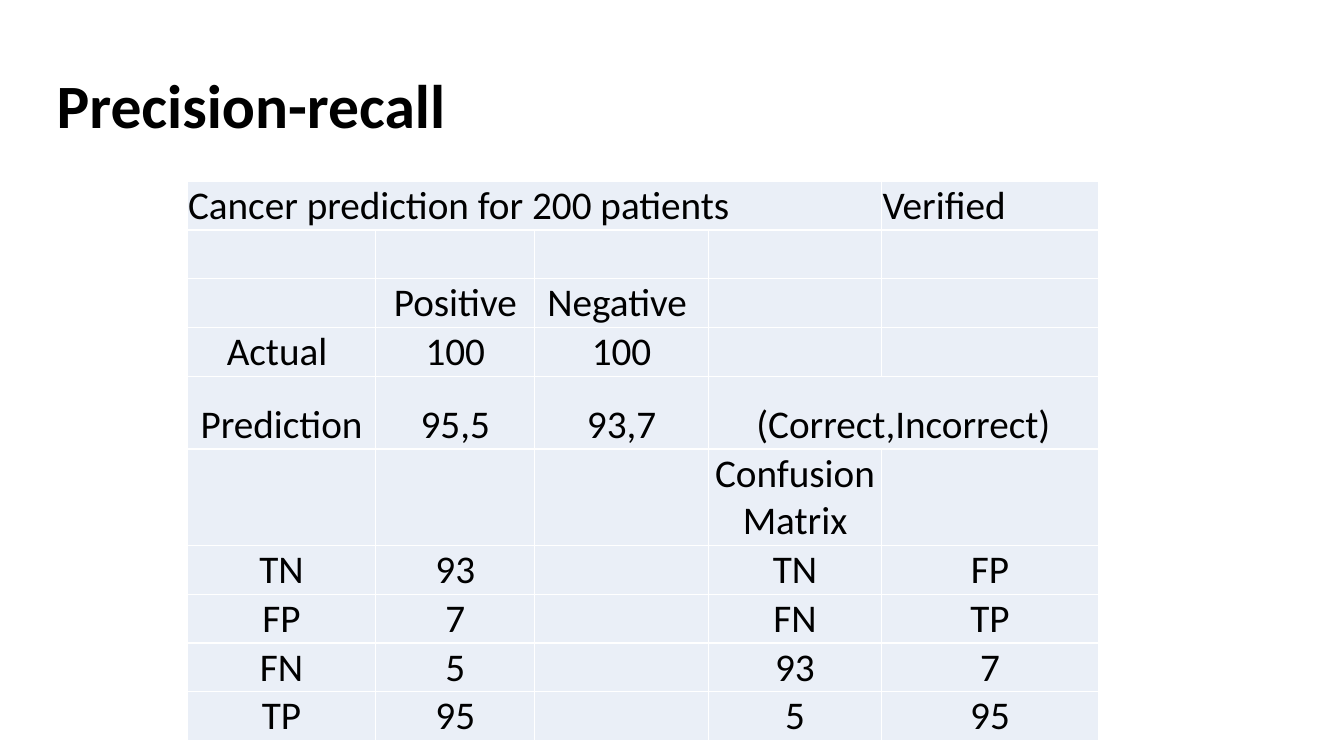
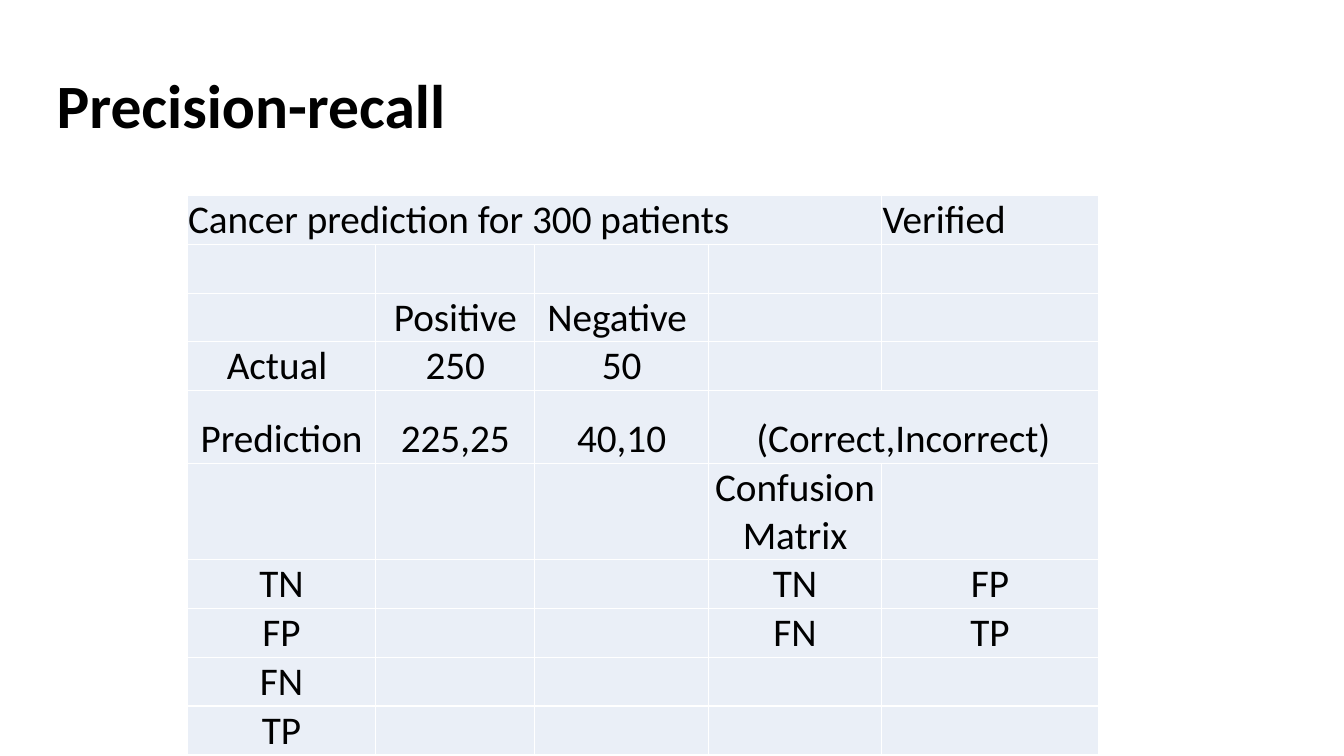
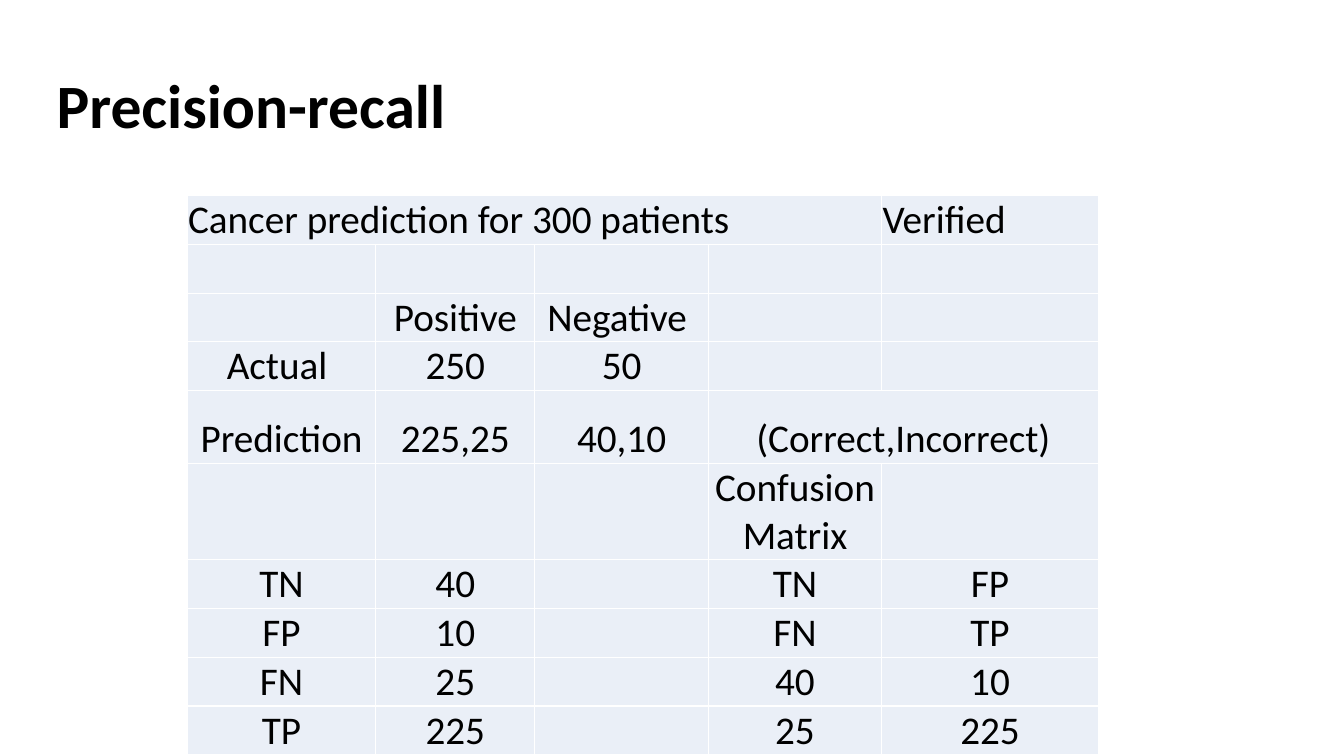
"""Build three slides on precision-recall with cancer prediction tables."""

from dataclasses import dataclass

from lxml.etree import SubElement
from pptx import Presentation
from pptx.dml.color import RGBColor
from pptx.enum.text import MSO_ANCHOR, MSO_AUTO_SIZE, PP_ALIGN
from pptx.oxml.ns import qn
from pptx.presentation import Presentation as Deck
from pptx.slide import Slide
from pptx.table import _Cell
from pptx.text.text import TextFrame
from pptx.util import Cm, Pt

FONT = "Calibri"
BLACK = "000000"
WHITE = "FFFFFF"
PALE_BLUE = "EAEFF7"
CELL_SIZE = 28
COLUMN_WIDTHS = (4.75, 4.01, 4.37, 4.37, 5.46)
ROW_HEIGHT = 0.97
PREDICTION_ROW = 4
PREDICTION_HEIGHT = 1.83
TABLE_LEFT = 4.72
TABLE_HEIGHT = 13.87
TITLE_ONLY = 5


@dataclass(frozen=True)
class Screening:
    """Outcome counts of one cancer prediction and how they are shown."""

    true_negative: int
    false_positive: int
    false_negative: int
    true_positive: int
    table_top: float
    solved: bool = True

    def rows(self) -> list[tuple[str, ...]]:
        """Return the table texts, leaving the answers out if unsolved."""
        tn, fp = self.true_negative, self.false_positive
        fn, tp = self.false_negative, self.true_positive
        answers = [str(count) if self.solved else "" for count in (tn, fp, fn, tp)]
        return [
            (f"Cancer prediction for {tn + fp + fn + tp} patients", "", "", "", "Verified"),
            ("", "", "", "", ""),
            ("", "Positive", "Negative ", "", ""),
            ("Actual ", str(tp + fn), str(tn + fp), "", ""),
            ("Prediction", f"{tp},{fn}", f"{tn},{fp}", "(Correct,Incorrect)", ""),
            ("", "", "", "Confusion Matrix", ""),
            ("TN", answers[0], "", "TN", "FP"),
            ("FP", answers[1], "", "FN", "TP"),
            ("FN", answers[2], "", answers[0], answers[1]),
            ("TP", answers[3], "", answers[2], answers[3]),
        ]


SCREENINGS = (
    Screening(93, 7, 5, 95, table_top=4.57),
    Screening(40, 10, 25, 225, table_top=4.93, solved=False),
    Screening(40, 10, 25, 225, table_top=4.93),
)


def color(value: str) -> RGBColor:
    """Turn a hex string into a colour."""
    return RGBColor.from_string(value)


def write_text(frame: TextFrame, text: str, *, size: int, bold: bool = False,
               align: PP_ALIGN = PP_ALIGN.LEFT, spacing: float | None = None) -> None:
    """Fill a text frame with one formatted paragraph."""
    paragraph = frame.paragraphs[0]
    paragraph.alignment = align
    paragraph.line_spacing = spacing
    if not text:
        SubElement(paragraph._p, qn("a:endParaRPr"), sz=str(size * 100))
        return
    run = paragraph.add_run()
    run.text = text
    run.font.name = FONT
    run.font.size = Pt(size)
    run.font.bold = bold
    run.font.color.rgb = color(BLACK)


def style_cell(cell: _Cell) -> None:
    """Give a cell thin white borders, narrow margins and a pale fill."""
    properties = cell._tc.get_or_add_tcPr()
    for side in ("lnL", "lnR", "lnT", "lnB"):
        line = SubElement(properties, qn(f"a:{side}"), w=str(Pt(1)))
        SubElement(SubElement(line, qn("a:solidFill")), qn("a:srgbClr"), val=WHITE)
    cell.fill.solid()
    cell.fill.fore_color.rgb = color(PALE_BLUE)
    cell.vertical_anchor = MSO_ANCHOR.BOTTOM
    cell.margin_left = cell.margin_right = cell.margin_top = Cm(0.02)
    cell.margin_bottom = Cm(0)


def add_title(slide: Slide, text: str) -> None:
    """Place and format the slide title."""
    title = slide.shapes.title
    title.left, title.top, title.width, title.height = Cm(1.17), Cm(0.89), Cm(25.91), Cm(3.68)
    frame = title.text_frame
    frame.word_wrap = True
    frame.auto_size = MSO_AUTO_SIZE.NONE
    frame.vertical_anchor = MSO_ANCHOR.MIDDLE
    write_text(frame, text, size=44, bold=True, spacing=0.9)


def add_screening_table(slide: Slide, screening: Screening) -> None:
    """Draw the prediction counts and confusion matrix as a table."""
    rows = screening.rows()
    shape = slide.shapes.add_table(
        len(rows), len(COLUMN_WIDTHS), Cm(TABLE_LEFT), Cm(screening.table_top),
        Cm(sum(COLUMN_WIDTHS)), Cm(TABLE_HEIGHT))
    table = shape.table
    table.first_row = table.horz_banding = False
    for column, width in zip(table.columns, COLUMN_WIDTHS):
        column.width = Cm(width)
    for row_index, texts in enumerate(rows):
        height = PREDICTION_HEIGHT if row_index == PREDICTION_ROW else ROW_HEIGHT
        table.rows[row_index].height = Cm(height)
        align = PP_ALIGN.CENTER if row_index else PP_ALIGN.LEFT
        for column_index, text in enumerate(texts):
            cell = table.cell(row_index, column_index)
            style_cell(cell)
            write_text(cell.text_frame, text, size=CELL_SIZE, align=align)
    table.cell(0, 0).merge(table.cell(0, 3))
    table.cell(PREDICTION_ROW, 3).merge(table.cell(PREDICTION_ROW, 4))
    shape.height = Cm(TABLE_HEIGHT)


def add_screening_slide(presentation: Deck, screening: Screening) -> None:
    """Add one titled slide with its table."""
    slide = presentation.slides.add_slide(presentation.slide_layouts[TITLE_ONLY])
    add_title(slide, "Precision-recall")
    add_screening_table(slide, screening)


def main() -> None:
    """Build and save the presentation."""
    presentation = Presentation()
    presentation.slide_width, presentation.slide_height = Cm(33.87), Cm(19.05)
    for screening in SCREENINGS:
        add_screening_slide(presentation, screening)
    presentation.save("out.pptx")


if __name__ == "__main__":
    main()
